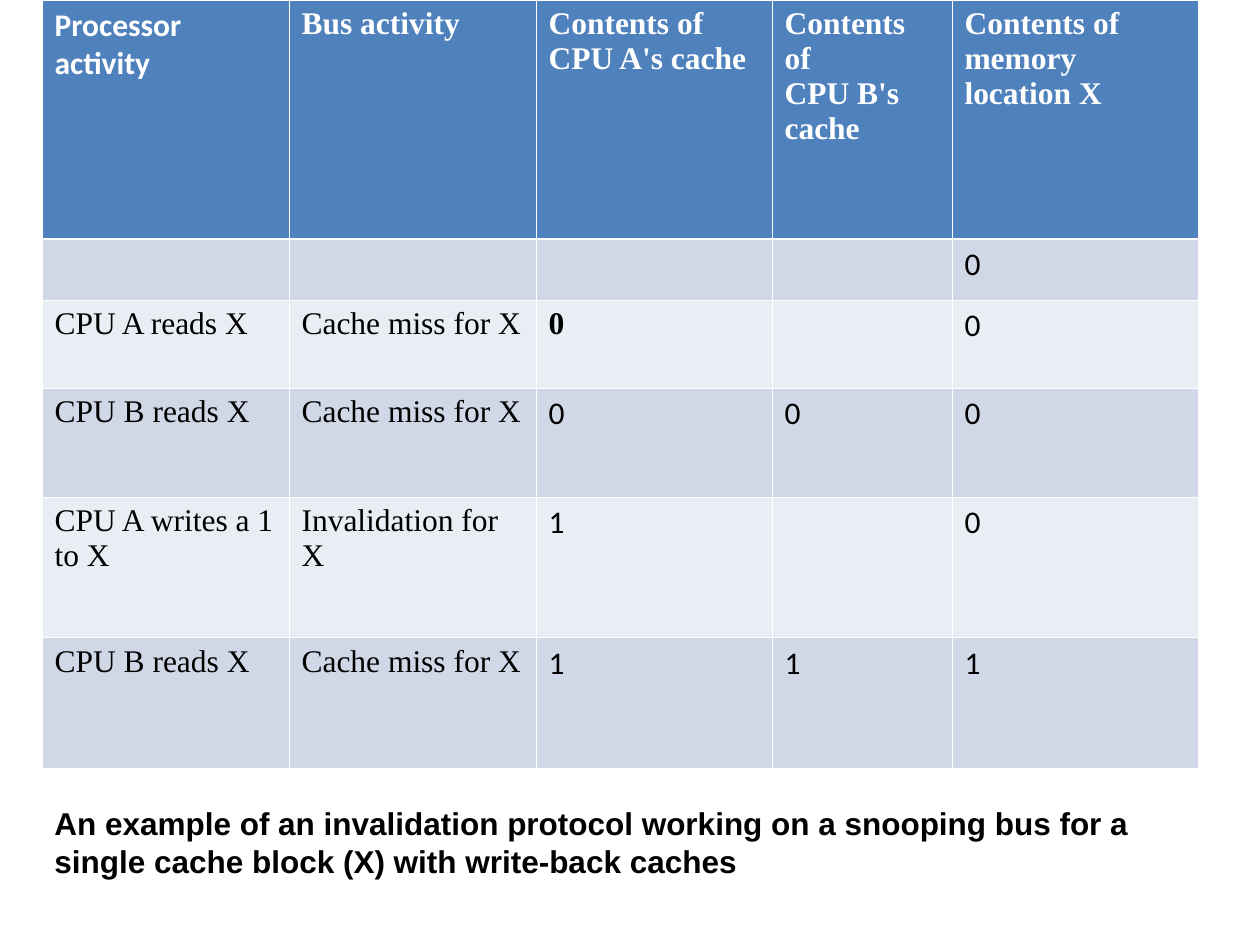
"""Build a slide tracing a snooping-bus invalidation protocol."""
import dataclasses

import lxml.etree
import pptx
import pptx.dml.color
import pptx.enum.text
import pptx.oxml.ns
import pptx.util


@dataclasses.dataclass(frozen=True)
class Theme:
    """Colours, fonts and sizes of the slide."""
    header: str = "4F81BD"
    bands: tuple = ("D0D8E8", "E9EDF4")
    light: str = "FFFFFF"
    dark: str = "000000"
    label_font: str = "Times New Roman"
    value_font: str = "Calibri"
    caption_font: str = "Arial"
    text_size: int = 18
    thin: float = 0.45
    thick: float = 1.47


THEME = Theme()
PIXELS_PER_INCH = 126
LEFT = 42
COLUMN_WIDTHS = (247, 247, 236, 180, 246)
ROW_HEIGHTS = (239, 61, 88, 109, 141, 131)
HEADINGS = (
    "Processor activity",
    "Bus activity",
    "Contents of\nCPU A's cache",
    "Contents of\nCPU B's cache",
    "Contents of\nmemory\nlocation X",
)
STEPS = (
    ("", "", "", "", "0"),
    ("CPU A reads X", "Cache miss for X", "0", "", "0"),
    ("CPU B reads X", "Cache miss for X", "0", "0", "0"),
    ("CPU A writes a 1 to X", "Invalidation for X", "1", "", "0"),
    ("CPU B reads X", "Cache miss for X", "1", "1", "1"),
)
FIRST_CACHED_VALUE = (2, 2)
CAPTION = (
    "An example of an invalidation protocol working on a snooping bus for a\n"
    "single cache block (X) with write-back caches"
)


def px(length):
    """Convert whole pixels to EMU."""
    return pptx.util.Emu(round(length * 914400 / PIXELS_PER_INCH))


def write_text(text_frame, text, font_name, color, bold):
    """Write lines of text as formatted paragraphs."""
    text_frame.text = text
    font_format = {"name": font_name, "size": pptx.util.Pt(THEME.text_size), "bold": bold}
    for paragraph in text_frame.paragraphs:
        for name, value in font_format.items():
            setattr(paragraph.font, name, value)
        paragraph.font.color.rgb = pptx.dml.color.RGBColor.from_string(color)
        for run in paragraph.runs:
            for name, value in font_format.items():
                setattr(run.font, name, value)
            run.font.color.rgb = pptx.dml.color.RGBColor.from_string(color)


def add_borders(cell, row):
    """Draw the cell edges, with a thicker line under the header."""
    properties = cell._tc.get_or_add_tcPr()
    widths = {
        "L": THEME.thin,
        "R": THEME.thin,
        "T": THEME.thick if row == 1 else THEME.thin,
        "B": THEME.thick if row == 0 else THEME.thin,
    }
    for side, width in widths.items():
        line = lxml.etree.SubElement(
            properties, pptx.oxml.ns.qn(f"a:ln{side}"), w=str(pptx.util.Pt(width))
        )
        fill = lxml.etree.SubElement(line, pptx.oxml.ns.qn("a:solidFill"))
        lxml.etree.SubElement(fill, pptx.oxml.ns.qn("a:srgbClr"), val=THEME.light)


def format_cell(cell, row, column, text):
    """Fill one table cell according to its place."""
    is_header = row == 0
    is_first_cached = (row, column) == FIRST_CACHED_VALUE
    if is_header:
        uses_value_font = column == 0
    else:
        uses_value_font = column > 1 and not is_first_cached
    write_text(
        cell.text_frame,
        text,
        THEME.value_font if uses_value_font else THEME.label_font,
        THEME.light if is_header else THEME.dark,
        is_header or is_first_cached,
    )
    add_borders(cell, row)
    color = THEME.header if is_header else THEME.bands[(row - 1) % 2]
    cell.fill.solid()
    cell.fill.fore_color.rgb = pptx.dml.color.RGBColor.from_string(color)


def add_protocol_table(slide):
    """Add the table of processor and bus activity."""
    shape = slide.shapes.add_table(
        len(ROW_HEIGHTS), len(COLUMN_WIDTHS), px(LEFT), px(0),
        px(sum(COLUMN_WIDTHS)), px(sum(ROW_HEIGHTS)),
    )
    table = shape.table
    for column, width in zip(table.columns, COLUMN_WIDTHS):
        column.width = px(width)
    for row, height in zip(table.rows, ROW_HEIGHTS):
        row.height = px(height)
    for row, texts in enumerate((HEADINGS, *STEPS)):
        for column, text in enumerate(texts):
            format_cell(table.cell(row, column), row, column, text)


def add_caption(slide):
    """Add the caption below the table."""
    shape = slide.shapes.add_textbox(px(LEFT), px(798), px(sum(COLUMN_WIDTHS)), px(88))
    frame_format = {
        "word_wrap": True,
        "auto_size": pptx.enum.text.MSO_AUTO_SIZE.SHAPE_TO_FIT_TEXT,
    }
    for name, value in frame_format.items():
        setattr(shape.text_frame, name, value)
    write_text(shape.text_frame, CAPTION, THEME.caption_font, THEME.dark, True)


def main():
    """Build and save the presentation."""
    presentation = pptx.Presentation()
    presentation.slide_width = px(1260)
    presentation.slide_height = px(945)
    slide = presentation.slides.add_slide(presentation.slide_layouts[6])
    add_protocol_table(slide)
    add_caption(slide)
    presentation.save("out.pptx")


if __name__ == "__main__":
    main()
